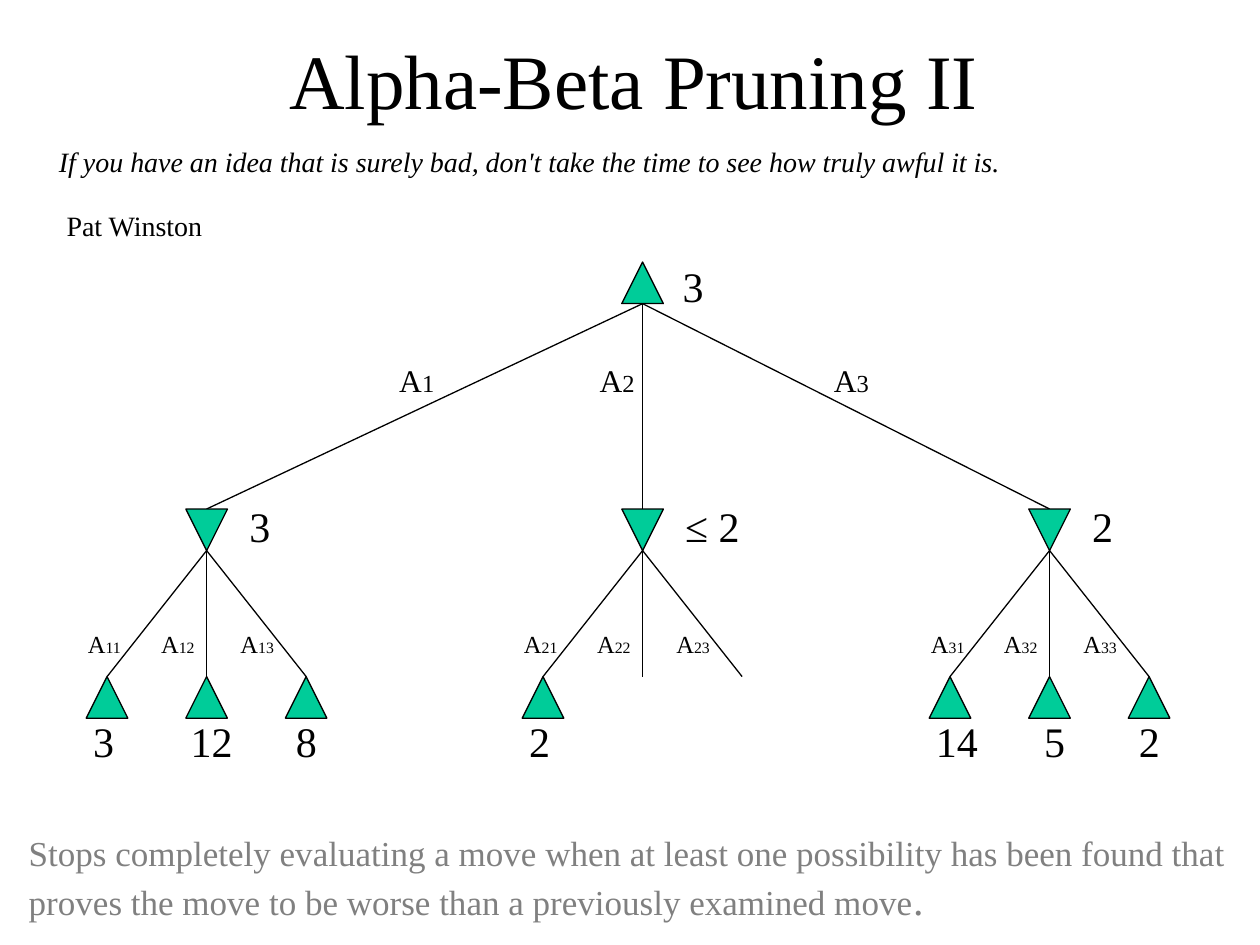
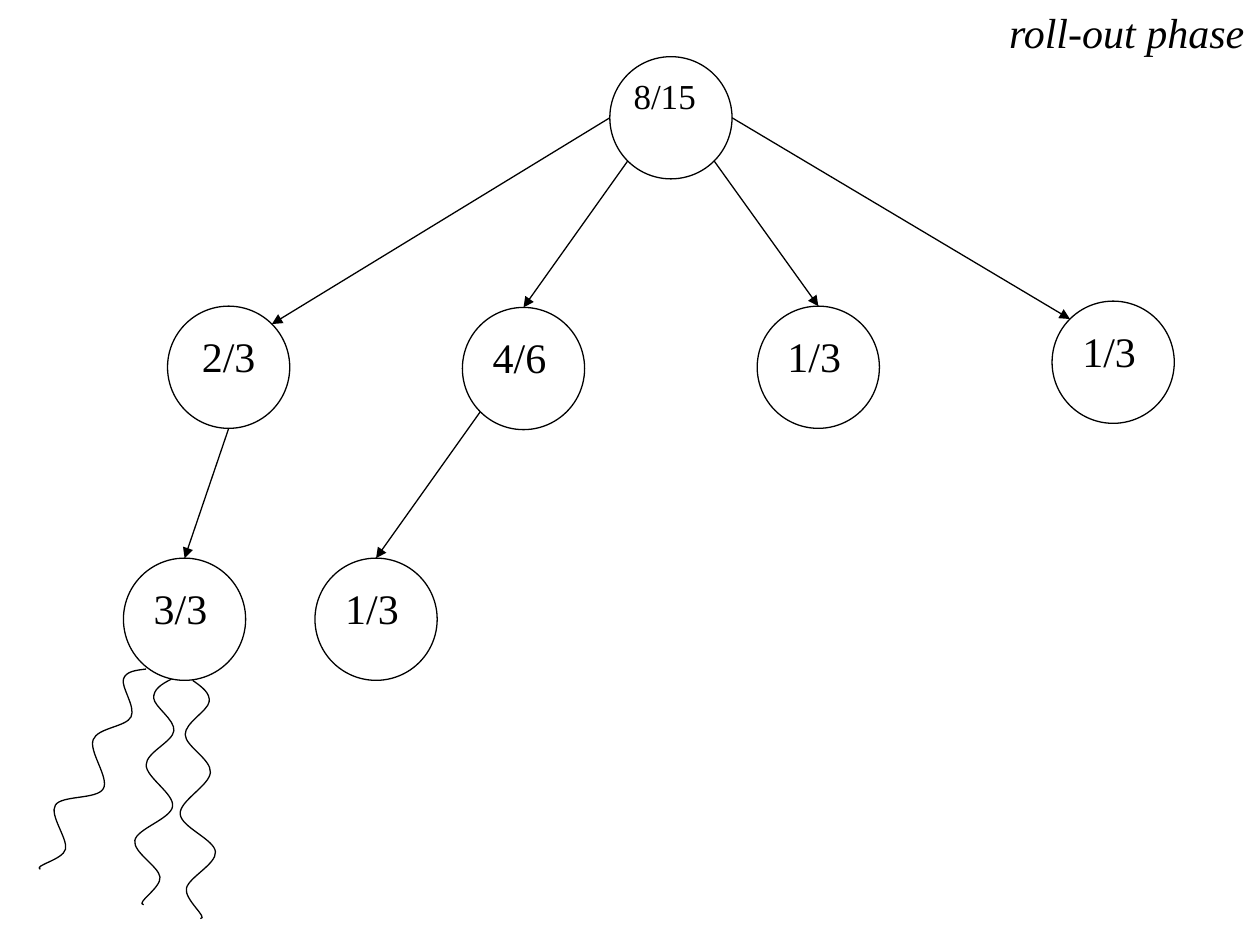
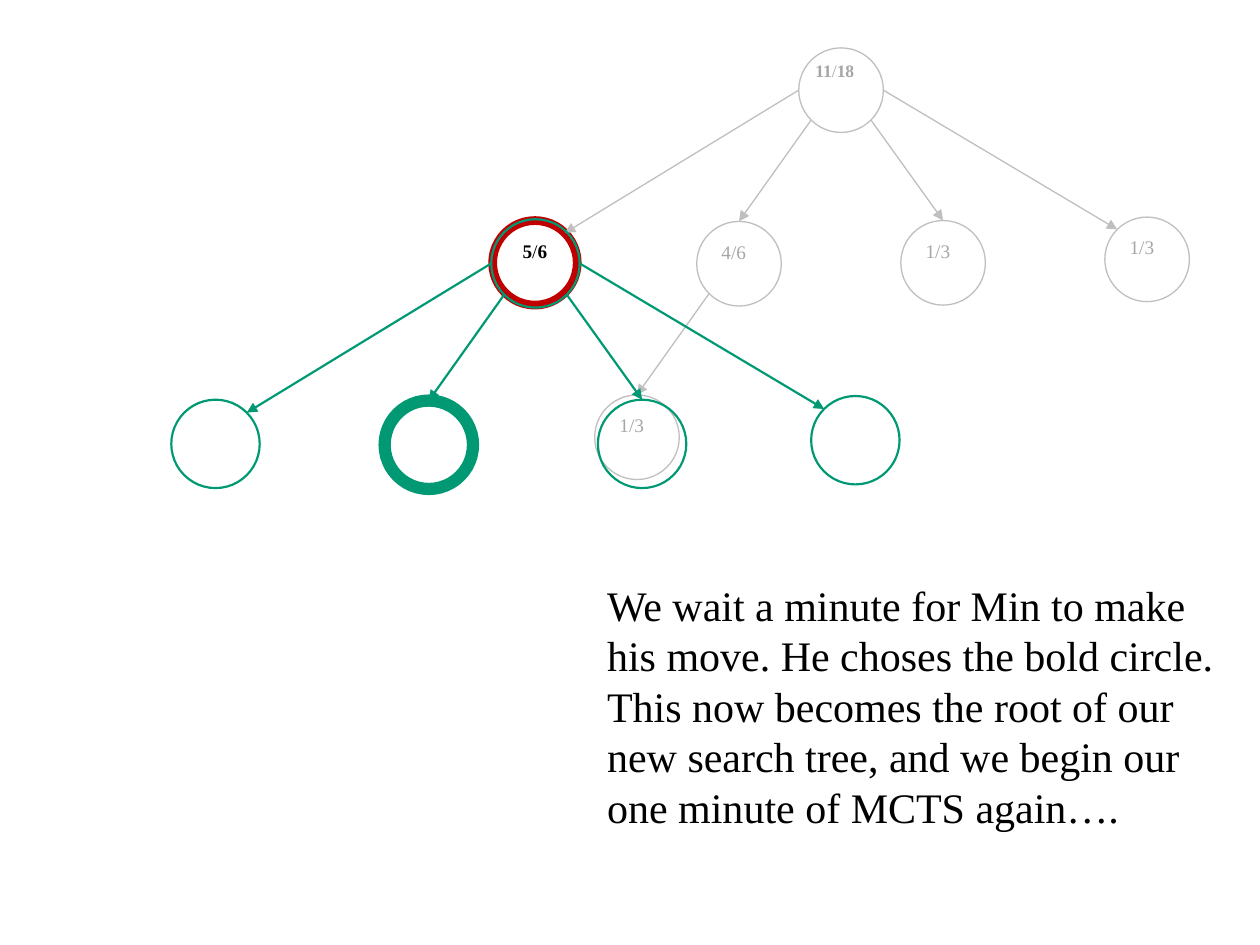
from math import cos, radians, sin

from lxml import etree
from pptx import Presentation
from pptx.dml.color import RGBColor
from pptx.enum.shapes import MSO_CONNECTOR, MSO_SHAPE
from pptx.enum.text import MSO_ANCHOR, MSO_AUTO_SIZE, PP_ALIGN
from pptx.oxml.ns import qn
from pptx.util import Inches, Pt

BLACK = RGBColor(0x00, 0x00, 0x00)
JADE = RGBColor(0x00, 0xCC, 0x99)
GREEN = RGBColor(0x00, 0x99, 0x73)
RED = RGBColor(0xC0, 0x00, 0x00)
PALE = RGBColor(0xBF, 0xBF, 0xBF)
FADED = RGBColor(0xA6, 0xA6, 0xA6)
GRAY = RGBColor(0x80, 0x80, 0x80)
FONT = "Times New Roman"

LEFT, CENTER = PP_ALIGN.LEFT, PP_ALIGN.CENTER
TOP, MIDDLE = MSO_ANCHOR.TOP, MSO_ANCHOR.MIDDLE
FIT_TEXT, FIXED = MSO_AUTO_SIZE.SHAPE_TO_FIT_TEXT, MSO_AUTO_SIZE.NONE
TRIANGLE, OVAL = MSO_SHAPE.ISOSCELES_TRIANGLE, MSO_SHAPE.OVAL
STRAIGHT = MSO_CONNECTOR.STRAIGHT

THIN = 0.75
MARK = 0.33
NODE = 0.97
TREE_WIDTH = 7.99
ROOT_AT = (3.51, 0)
CHILDREN_AT = [(2.34 * i, y) for i, y in enumerate((1.98, 1.99, 1.98, 1.94))]
GRANDCHILD_AT = (1.17, 3.98)
EDGE_ANGLES = [(180, 315), (135, 270), (45, 270), (0, 225)]

ROLLOUTS = [
    [(1.24, 5.27), (1.53, 5.4), (1.66, 5.57), (1.47, 5.83), (1.67, 6.13),
     (1.43, 6.46), (1.71, 6.76), (1.48, 7.05), (1.59, 7.29), (1.06, 7.05)],
    [(1.7, 5.3), (1.36, 5.39), (1.22, 5.54), (1.38, 5.8), (1.16, 6.07),
     (1.37, 6.4), (1.07, 6.67), (1.27, 6.96), (1.14, 7.18), (1.69, 7.02)],
    [(1.46, 5.33), (1.16, 5.31), (0.98, 5.39), (1.04, 5.69), (0.74, 5.87),
     (0.82, 6.26), (0.44, 6.39), (0.52, 6.74), (0.32, 6.9), (0.88, 6.92)],
]


def write(paragraph, runs, size, color=BLACK, align=LEFT, italic=None):
    paragraph.alignment = align
    font = paragraph.font
    font.name, font.size, font.italic = FONT, Pt(size), italic
    font.color.rgb = color
    for text, changes in runs:
        run = paragraph.add_run()
        run.text = text
        for name, value in changes.items():
            setattr(run.font, name, value)


def text_box(slide, left, top, width, height, paragraphs, size,
             wrap=False, anchor=TOP, **style):
    box = slide.shapes.add_textbox(*map(Inches, (left, top, width, height)))
    frame = box.text_frame
    frame.word_wrap, frame.vertical_anchor = wrap, anchor
    frame.auto_size = FIT_TEXT if anchor == TOP else FIXED
    for i, runs in enumerate(paragraphs):
        paragraph = frame.add_paragraph() if i else frame.paragraphs[0]
        write(paragraph, runs, size, **style)
    return frame


def title(slide, text):
    text_box(slide, 0.78, 0, 8.5, 1.25, [[(text, {})]], 44,
             wrap=True, anchor=MIDDLE, align=CENTER)


def outline(shape, color=BLACK, weight=THIN):
    shape.line.color.rgb = color
    shape.line.width = Pt(weight)


def line(slide, start, end, color=BLACK, weight=THIN, arrow=False):
    connector = slide.shapes.add_connector(STRAIGHT, *start, *end)
    outline(connector, color, weight)
    properties = connector._element.spPr
    if arrow:
        etree.SubElement(properties.find(qn("a:ln")), qn("a:tailEnd"), type="triangle")
    etree.SubElement(properties, qn("a:effectLst"))


def branch(slide, x1, y1, x2, y2):
    line(slide, (Inches(x1), Inches(y1)), (Inches(x2), Inches(y2)))


def player(slide, center, top, is_min=False):
    shape = slide.shapes.add_shape(
        TRIANGLE, Inches(center - MARK / 2), Inches(top), Inches(MARK), Inches(MARK))
    shape.shadow.inherit = False
    shape.fill.solid()
    shape.fill.fore_color.rgb = JADE
    shape.rotation = 180 if is_min else 0
    outline(shape)


def score(slide, left, top, text, centered=False):
    wide = len(text) > 2
    width = 0.94 if wide else 0.2 + 0.165 * len(text)
    if centered:
        left -= width / 2
    text_box(slide, left, top, width, 0.5, [[(text, {})]], 24,
             wrap=wide, align=CENTER if centered else LEFT)


def action(slide, left, top, width, height, index, size, index_size):
    text_box(slide, left, top, width, height,
             [[("A", {}), (index, {"size": Pt(index_size)})]], size)


def min_subtree(slide, left, top, number, value, leaves):
    apex = left + 0.96
    player(slide, apex, top, is_min=True)
    score(slide, apex + 0.24, top - 0.12, value)
    for i, action_offset in enumerate((-1.04, -0.46, 0.17)):
        leaf = apex + 0.79 * (i - 1)
        branch(slide, apex, top + MARK, leaf, top + 1.33)
        action(slide, apex + action_offset, top + 0.9, 0.47, 0.33,
               f"{number}{i + 1}", 14, 9)
        if i < len(leaves):
            player(slide, leaf, top + 1.33)
            score(slide, apex + (-1, 0.04, 0.61)[i], top + 1.59, leaves[i], i == 1)


def pruning_slide(slide):
    title(slide, "Alpha-Beta Pruning II")
    subtrees = [(0.68, "3", ["3", "12", "8"], 3.07),
                (4.14, "≤ 2", ["2"], 4.66),
                (7.37, "2", ["14", "5", "2"], 6.52)]
    for number, (left, value, leaves, action_left) in enumerate(subtrees, 1):
        branch(slide, 5.1, 2.41, left + 0.96, 4.04)
        min_subtree(slide, left, 4.04, number, value, leaves)
        action(slide, action_left, 2.82, 0.48, 0.4, str(number), 18, 14)
    player(slide, 5.1, 2.08)
    score(slide, 5.32, 2.02, "3")
    quote = text_box(
        slide, 0.37, 1.1, 8.26, 1.39,
        [[("If you have an idea that is surely bad, don't take the time to see "
           "how truly awful it is.", {})],
         [("Pat Winston", {})]], 16, wrap=True, italic=True)
    saying, speaker = quote.paragraphs
    saying.space_after = Pt(5)
    speaker.space_before = Pt(12.5)
    speaker.font.italic = False
    speaker._p.get_or_add_pPr().set("marL", str(Inches(0.06)))
    text_box(slide, 0.13, 6.55, 9.87, 0.84,
             [[("Stops completely evaluating a move when at least one possibility "
                "has been found that proves the move to be worse than a previously "
                "examined move", {}), (".", {"size": Pt(24)})]],
             20, wrap=True, color=GRAY)


def circle(slide, left, top, diameter, color, weight):
    shape = slide.shapes.add_shape(
        OVAL, *map(Inches, (left, top, diameter, diameter)))
    shape.shadow.inherit = False
    shape.fill.background()
    outline(shape, color, weight)
    return shape


def label(node, runs, size, color=BLACK, align=LEFT):
    frame = node.text_frame
    frame.vertical_anchor = TOP
    write(frame.paragraphs[0], runs, size, color, align)


def label_root(node, runs, size, color=BLACK):
    label(node, runs, size, color, CENTER)
    node.text_frame.margin_left = node.text_frame.margin_top = 0


def bold_ratio(wins, visits):
    return [(wins, {"bold": True}), ("/", {}), (visits, {"bold": True})]


def rim(node, degrees):
    radius = node.width / 2
    return (int(node.left + radius * (1 + cos(radians(degrees)))),
            int(node.top + radius * (1 + sin(radians(degrees)))))


def edge(slide, parent, leaving, child, entering, color=BLACK, weight=THIN):
    line(slide, rim(parent, leaving), rim(child, entering), color, weight, arrow=True)


def search_tree(slide, left, top, width, color=BLACK, weight=THIN, grandchild=True):
    scale = width / TREE_WIDTH
    places = [ROOT_AT, *CHILDREN_AT] + [GRANDCHILD_AT] * grandchild
    nodes = [circle(slide, left + x * scale, top + y * scale, NODE * scale, color, weight)
             for x, y in places]
    for child, (leaving, entering) in zip(nodes[1:5], EDGE_ANGLES):
        edge(slide, nodes[0], leaving, child, entering, color, weight)
    if grandchild:
        edge(slide, nodes[2], 135, nodes[5], 270, color, weight)
    return nodes


def rollout(slide, knots):
    knots = [(Inches(x), Inches(y)) for x, y in knots]
    builder = slide.shapes.build_freeform(*knots[1])
    builder.add_line_segments(knots[2:-1], close=False)
    squiggle = builder.convert_to_shape()
    squiggle.shadow.inherit = False
    squiggle.fill.background()
    outline(squiggle)
    segments = list(squiggle._element.iter(qn("a:lnTo")))
    for segment, a, b, c, d in zip(segments, knots, knots[1:], knots[2:], knots[3:]):
        leaving = [q + (r - p) / 6 for p, q, r in zip(a, b, c)]
        entering = [r - (s - q) / 6 for q, r, s in zip(b, c, d)]
        curve = etree.Element(qn("a:cubicBezTo"))
        for x, y in (leaving, entering, c):
            etree.SubElement(curve, qn("a:pt"), x=str(round(x - squiggle.left)),
                             y=str(round(y - squiggle.top)))
        segment.getparent().replace(segment, curve)


def rollout_slide(slide):
    root, *others = search_tree(slide, 1.33, 0.45, TREE_WIDTH)
    label_root(root, [("8/15", {})], 20)
    expanded = circle(slide, 0.98, 4.43, NODE, BLACK, THIN)
    edge(slide, others[0], 90, expanded, 270)
    ratios = ["2/3", "4/6", "1/3", "1/3", "1/3", "3/3"]
    for node, ratio in zip([*others, expanded], ratios):
        label(node, [(ratio, {})], 24, align=CENTER if node is others[0] else LEFT)
    for knots in ROLLOUTS:
        rollout(slide, knots)
    text_box(slide, 7.91, 0, 2.09, 0.5, [[("roll-out phase", {})]], 24, italic=True)


def new_root_slide(slide):
    root, chosen, *others = search_tree(slide, 3.91, 0.38, 5.53, PALE)
    label_root(root, bold_ratio("11", "18"), 10, FADED)
    outline(chosen, RED, 5)
    label(chosen, bold_ratio("5", "6"), 11, align=CENTER)
    for node, ratio in zip(others, ["4/6", "1/3", "1/3", "1/3"]):
        label(node, [(ratio, {})], 11, FADED)
    replies = search_tree(slide, 1.36, 1.74, 5.78, GREEN, 1.25, grandchild=False)
    outline(replies[2], GREEN, 7)
    text_box(slide, 4.72, 4.55, 5.17, 2.12,
             [[("We wait a minute for Min to make his move. He choses the bold "
                "circle.", {})],
              [("This now becomes the root of our new search tree, and we begin our "
                "one minute of MCTS again….", {})]], 24, wrap=True)


def main():
    deck = Presentation()
    deck.slide_width, deck.slide_height = Inches(10), Inches(7.5)
    for build in (pruning_slide, rollout_slide, new_root_slide):
        build(deck.slides.add_slide(deck.slide_layouts[6]))
    deck.save("out.pptx")


if __name__ == "__main__":
    main()
